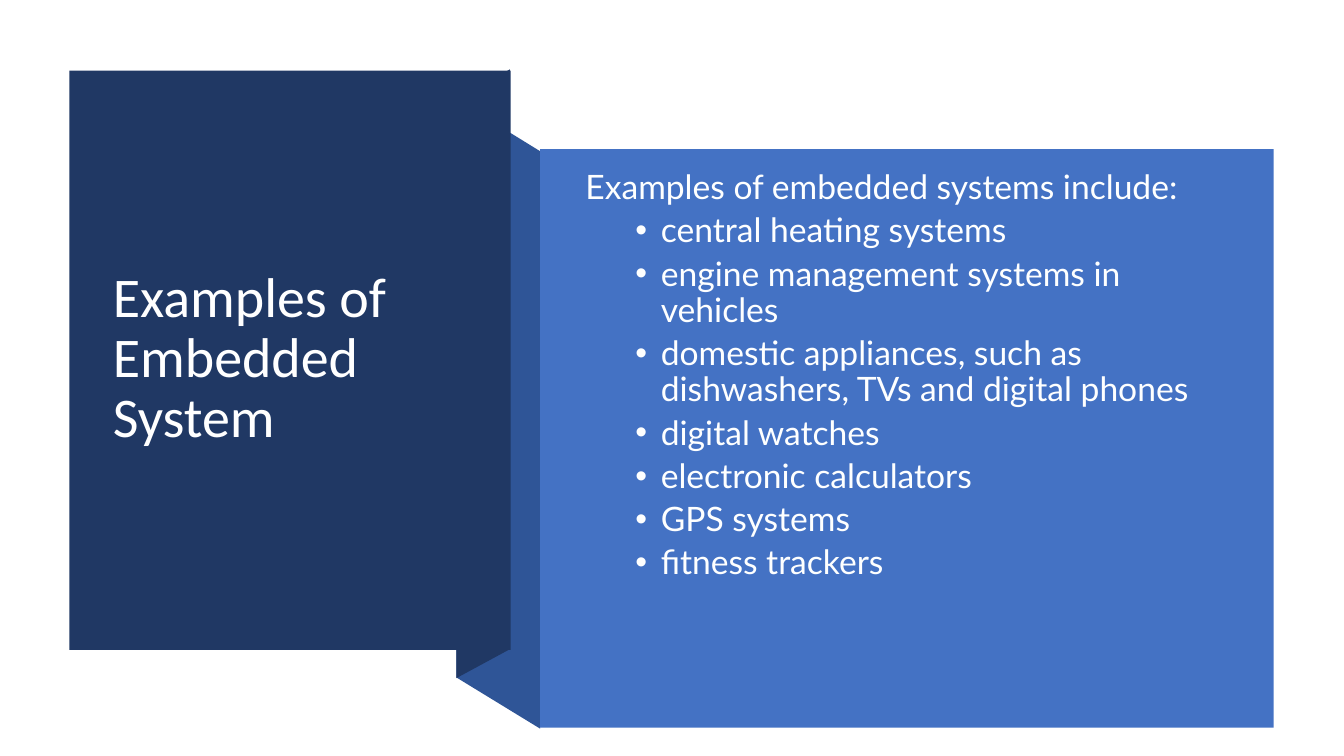
"""Build the slide on examples of embedded systems."""
from dataclasses import dataclass

from lxml import etree
from pptx import Presentation
from pptx import util as u
from pptx.dml.color import RGBColor
from pptx.enum import shapes, text
from pptx.oxml.ns import qn


@dataclass(frozen=True)
class Theme:
    """Colours, fonts and type sizes."""
    navy: str = "203864"
    fold: str = "2F5597"
    blue: str = "4472C4"
    title_ink: str = "FFFFFF"
    body_ink: str = "FEFFFF"
    title_font: str = "Calibri"
    body_font: str = "Lato"
    title_size: int = 40
    body_size: int = 24


def apply(obj, fmt):
    """Set every attribute in a dict of format values."""
    for name, value in fmt.items():
        setattr(obj, name, value)


def box(left, top, width, height):
    """Return a placement in centimetres as a dict of lengths."""
    return {"left": u.Cm(left), "top": u.Cm(top),
            "width": u.Cm(width), "height": u.Cm(height)}


class Deck:
    """Hold the theme and the current slide."""

    def __init__(self, theme):
        """Start a wide presentation with one title and content slide."""
        self.theme = theme
        self.prs = Presentation()
        apply(self.prs, {"slide_width": u.Cm(33.87), "slide_height": u.Cm(19.05)})
        self.s = self.prs.slides.add_slide(self.prs.slide_layouts[1])

    def paint(self, sp, color):
        """Give a shape a flat fill without line or shadow."""
        sp.shadow.inherit = False
        sp.fill.solid()
        sp.fill.fore_color.rgb = RGBColor.from_string(color)
        sp.line.fill.background()

    def panel(self, place, color):
        """Add a flat rectangle."""
        self.paint(self.s.shapes.add_shape(shapes.MSO_SHAPE.RECTANGLE, **place), color)

    def polygon(self, points, color):
        """Add a closed outline through points in centimetres."""
        start, *rest = [(u.Cm(x), u.Cm(y)) for x, y in points]
        fb = self.s.shapes.build_freeform(*start)
        fb.add_line_segments(rest, close=True)
        self.paint(fb.convert_to_shape(), color)

    def place(self, sp, place, anchor):
        """Move a placeholder, bring it to the front and return its text frame."""
        apply(sp, place)
        self.s.shapes.element.append(sp.element)
        tf = sp.text_frame
        apply(tf, {"word_wrap": True, "auto_size": text.MSO_AUTO_SIZE.NONE,
                   "vertical_anchor": anchor})
        return tf

    def line(self, p, words, size, font, color, before=0):
        """Fill one left-aligned paragraph."""
        apply(p, {"alignment": text.PP_ALIGN.LEFT, "line_spacing": 0.9,
                  "space_before": u.Pt(before)})
        r = p.add_run()
        r.text = words
        apply(r.font, {"size": u.Pt(size), "name": font})
        r.font.color.rgb = RGBColor.from_string(color)

    def title(self, words, place):
        """Fill the title placeholder."""
        t = self.theme
        tf = self.place(self.s.shapes.title, place, text.MSO_ANCHOR.MIDDLE)
        self.line(tf.paragraphs[0], words, t.title_size, t.title_font, t.title_ink)

    def body(self, lead, items, place):
        """Fill the body placeholder with a lead line and a bulleted list."""
        t = self.theme
        tf = self.place(self.s.placeholders[1], place, text.MSO_ANCHOR.TOP)
        for i, words in enumerate([lead, *items]):
            p = tf.add_paragraph() if i else tf.paragraphs[0]
            p.level = 1 if i else 0
            pPr = p._p.get_or_add_pPr()
            pPr.set("marL", str(u.Cm(1.9) if i else 0))
            pPr.set("indent", str(u.Cm(-0.64) if i else 0))
            if i:
                etree.SubElement(pPr, qn("a:buFont")).set("typeface", "Arial")
                etree.SubElement(pPr, qn("a:buChar")).set("char", "•")
            else:
                etree.SubElement(pPr, qn("a:buNone"))
            self.line(p, words, t.body_size, t.body_font, t.body_ink, 5 if i else 0)


def main():
    """Draw the folded ribbon, its two panels and their text."""
    theme = Theme()
    deck = Deck(theme)
    deck.polygon([(13.61, 18.36), (11.5, 17.07), (11.5, 2.51), (13.61, 3.81)], theme.fold)
    deck.polygon([(12.85, 16.36), (11.5, 17.09), (11.5, 2.49), (12.85, 1.75)], theme.navy)
    deck.panel(box(1.75, 1.78, 11.12, 14.6), theme.navy)
    deck.title("Examples of Embedded System", box(2.59, 2.72, 9.42, 12.67))
    deck.panel(box(13.61, 3.76, 18.49, 14.58), theme.blue)
    deck.body("Examples of embedded systems include:", [
        "central heating systems",
        "engine management systems in vehicles",
        "domestic appliances, such as dishwashers, TVs and digital phones",
        "digital watches",
        "electronic calculators",
        "GPS systems",
        "fitness trackers",
    ], box(14.5, 4.17, 16.54, 12.65))
    deck.prs.save("out.pptx")


if __name__ == "__main__":
    main()
